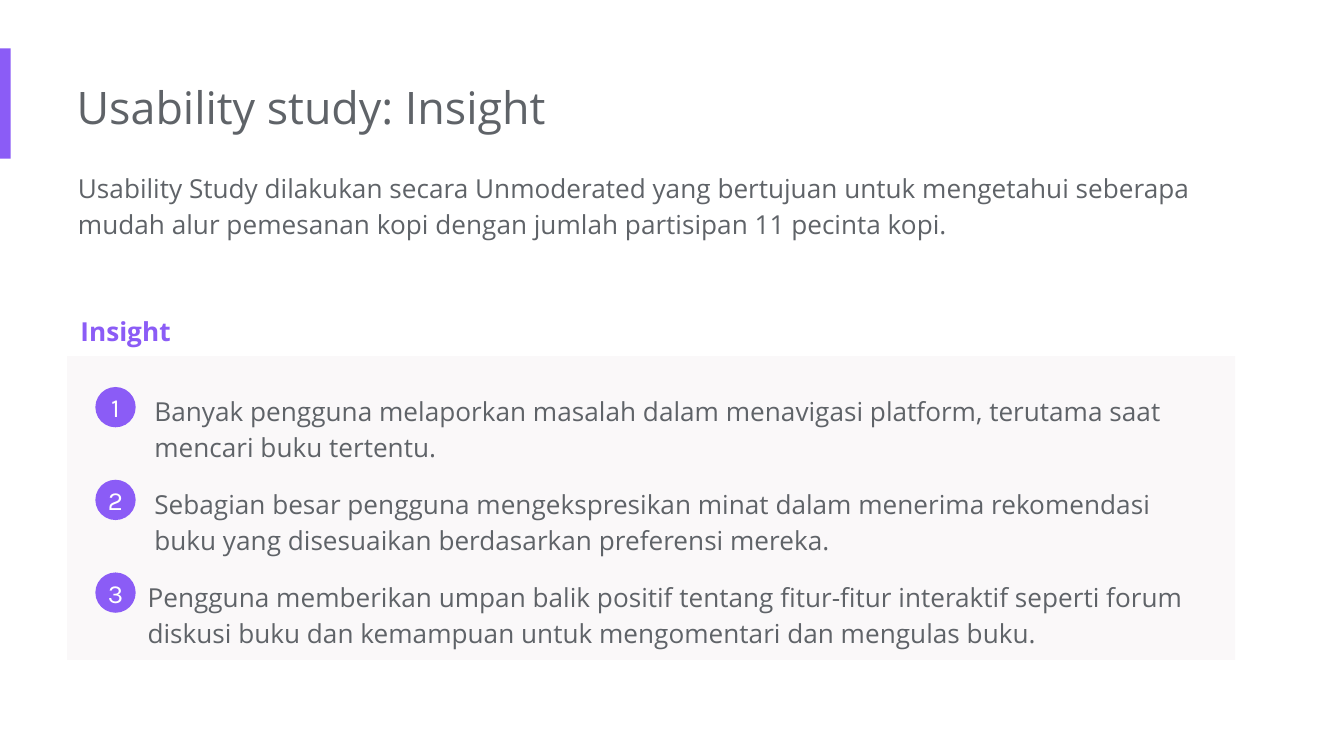
from dataclasses import dataclass

import pptx
import pptx.dml.color
import pptx.enum.shapes
import pptx.enum.text
import pptx.util
from lxml import etree
from pptx.oxml.ns import qn
from pptx.util import Inches

RGBColor = pptx.dml.color.RGBColor
Shape = pptx.enum.shapes.MSO_SHAPE
Anchor = pptx.enum.text.MSO_ANCHOR
Align = pptx.enum.text.PP_ALIGN

PURPLE = RGBColor(0x8B, 0x5C, 0xF6)
GREY = RGBColor(0x5F, 0x63, 0x68)
PANEL = RGBColor(0xFA, 0xF8, 0xF9)
WHITE = RGBColor(0xFF, 0xFF, 0xFF)

FIRST_INSIGHT_TOP = 2.81
INSIGHT_STEP = 0.69


@dataclass
class Box:
    left: float
    top: float
    width: float
    height: float

    def lengths(self) -> tuple:
        return tuple(Inches(v) for v in (self.left, self.top, self.width, self.height))


@dataclass
class Insight:
    text: str
    left: float
    width: float


INSIGHTS = [
    Insight("Banyak pengguna melaporkan masalah dalam menavigasi platform, terutama saat "
            "mencari buku tertentu.", 1.05, 7.91),
    Insight("Sebagian besar pengguna mengekspresikan minat dalam menerima rekomendasi "
            "buku yang disesuaikan berdasarkan preferensi mereka.", 1.05, 8.04),
    Insight("Pengguna memberikan umpan balik positif tentang fitur-fitur interaktif seperti forum "
            "diskusi buku dan kemampuan untuk mengomentari dan mengulas buku.", 1, 7.96),
]


def remove_bullet(paragraph) -> None:
    properties = paragraph._p.get_or_add_pPr()
    properties.set("marL", "0")
    properties.set("indent", "0")
    etree.SubElement(properties, qn("a:buNone"))


def write(shape, text: str, size: int = 14, color: RGBColor = GREY, font: str = "Open Sans",
          bold: bool = False, spacing: float = 1.15, align=Align.LEFT, anchor=Anchor.TOP,
          left_inset: float = 0.1, inset: float = 0.1) -> None:
    frame = shape.text_frame
    frame.word_wrap = True
    frame.auto_size = pptx.enum.text.MSO_AUTO_SIZE.NONE
    frame.vertical_anchor = anchor
    frame.margin_left = Inches(left_inset)
    frame.margin_top = frame.margin_right = frame.margin_bottom = Inches(inset)
    frame.text = text
    paragraph = frame.paragraphs[0]
    if shape.is_placeholder:
        remove_bullet(paragraph)
    paragraph.alignment = align
    paragraph.line_spacing = spacing
    paragraph.space_before = pptx.util.Pt(0)
    paragraph.font.name = font
    paragraph.font.size = pptx.util.Pt(size)
    paragraph.font.bold = bold
    paragraph.font.color.rgb = color


def place(shape, box: Box) -> None:
    shape.left, shape.top, shape.width, shape.height = box.lengths()


def add_filled(slide, kind, box: Box, color: RGBColor):
    shape = slide.shapes.add_shape(kind, *box.lengths())
    shape.shadow.inherit = False
    shape.fill.solid()
    shape.fill.fore_color.rgb = color
    shape.line.fill.background()
    return shape


def add_insight(slide, number: int, insight: Insight) -> None:
    top = FIRST_INSIGHT_TOP + (number - 1) * INSIGHT_STEP
    box = Box(insight.left, top, insight.width, 0.74)
    write(slide.shapes.add_textbox(*box.lengths()), insight.text)
    badge = add_filled(slide, Shape.OVAL, Box(0.71, top + 0.07, 0.3, 0.3), PURPLE)
    write(badge, str(number), color=WHITE, font="Karla", spacing=1.0, align=Align.CENTER,
          anchor=Anchor.MIDDLE, left_inset=0, inset=0)


def main() -> None:
    # Widescreen 16:9 slide
    presentation = pptx.Presentation()
    presentation.slide_width = Inches(10)
    presentation.slide_height = Inches(10 * 9 / 16)
    layout = presentation.slide_layouts.get_by_name("Title and Content")
    slide = presentation.slides.add_slide(layout)

    # Accent bar, title and introduction
    add_filled(slide, Shape.RECTANGLE, Box(0, 0.36, 0.08, 0.82), PURPLE)
    title = slide.shapes.title
    place(title, Box(0.57, 0.49, 6.73, 0.61))
    write(title, "Usability study: Insight", size=24, spacing=1.0, left_inset=0)

    introduction = slide.placeholders[1]
    place(introduction, Box(0.58, 1.15, 8.61, 0.98))
    write(introduction, "Usability Study dilakukan secara Unmoderated yang bertujuan untuk mengetahui "
          "seberapa mudah alur pemesanan kopi dengan jumlah partisipan 11 pecinta kopi.",
          left_inset=0)

    # Insight panel with numbered findings
    heading = slide.shapes.add_textbox(*Box(0.5, 2.21, 3.65, 0.44).lengths())
    write(heading, "Insight", color=PURPLE, bold=True)
    add_filled(slide, Shape.RECTANGLE, Box(0.5, 2.65, 8.69, 2.26), PANEL)
    for number, insight in enumerate(INSIGHTS, start=1):
        add_insight(slide, number, insight)

    presentation.save("out.pptx")


if __name__ == "__main__":
    main()
